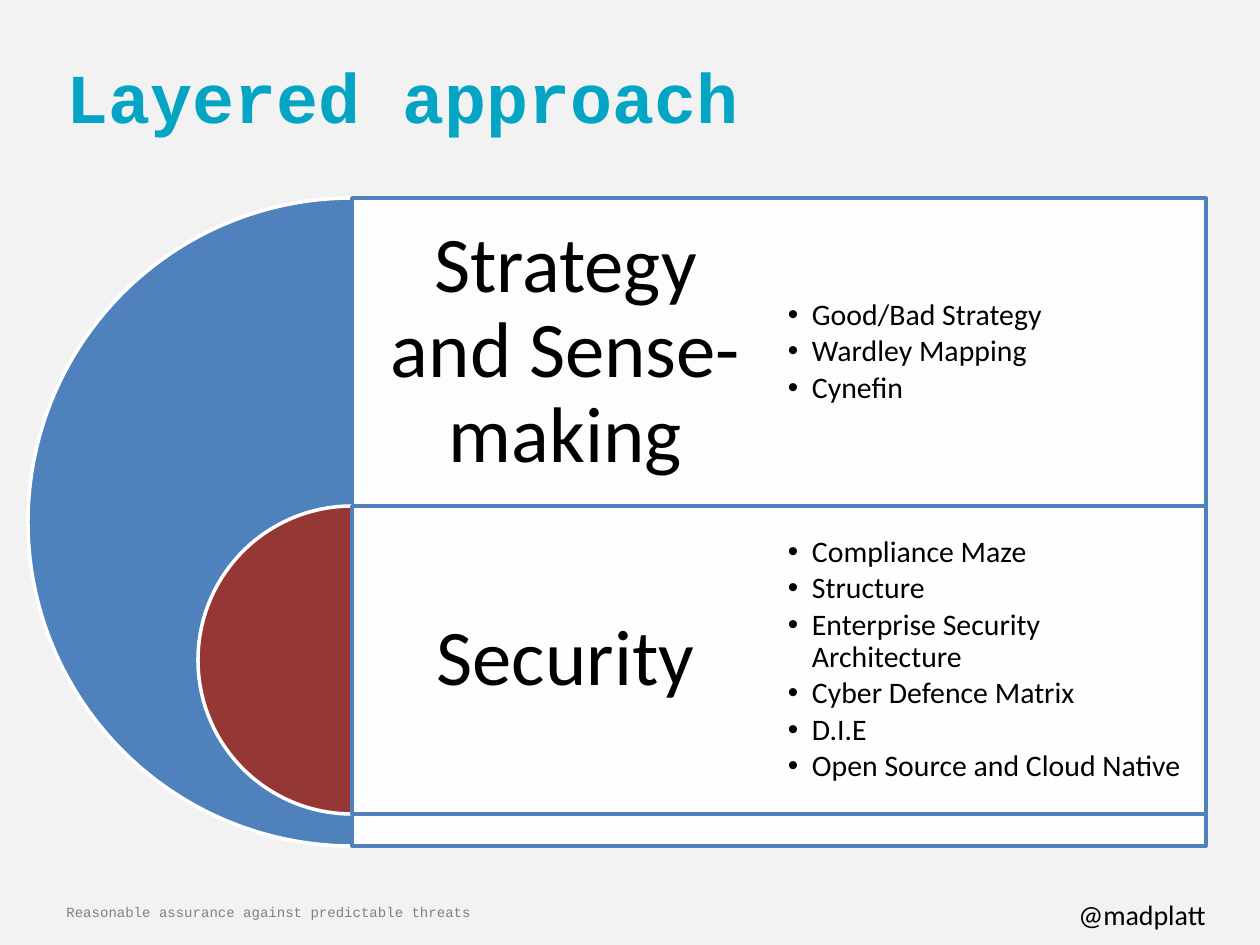
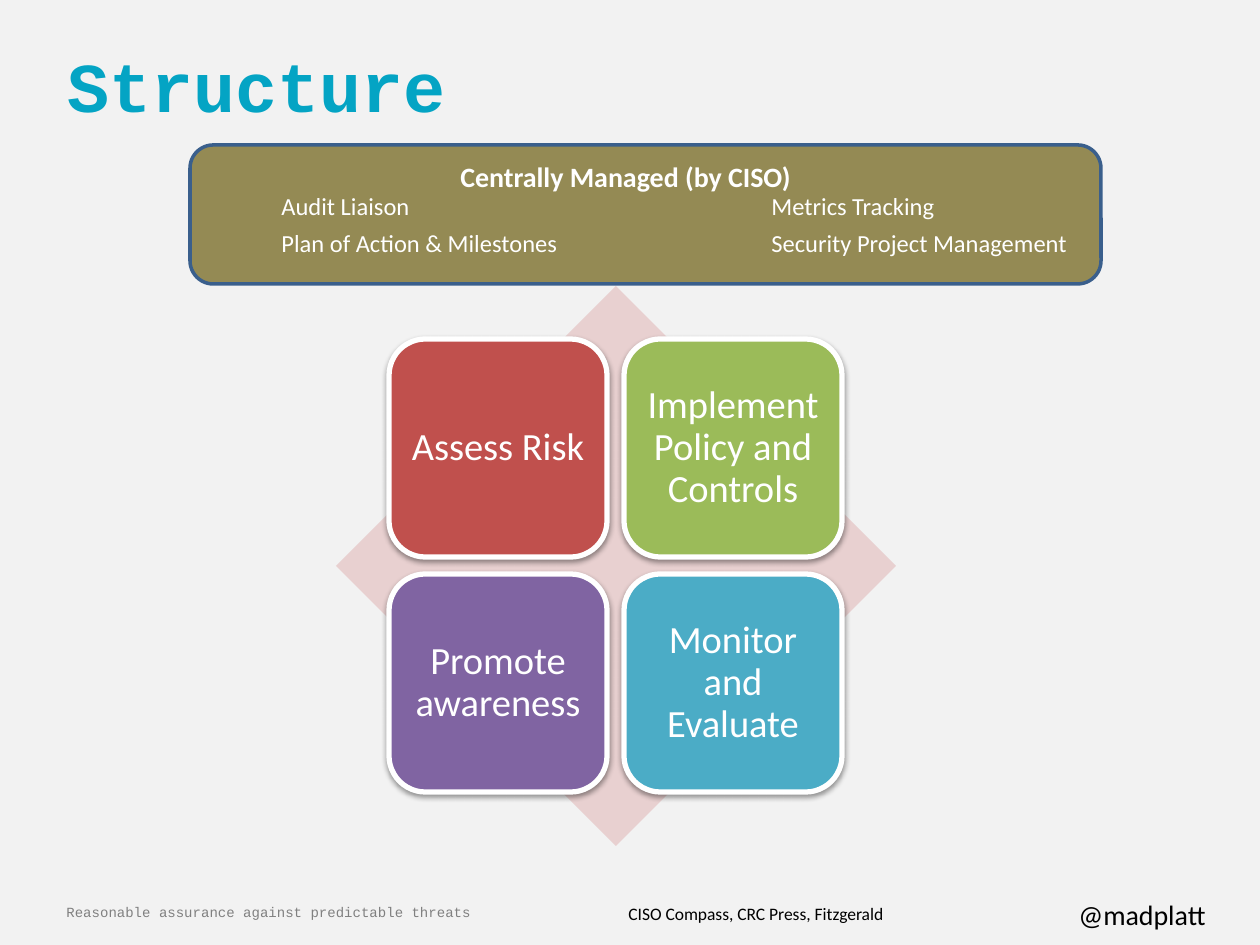
from lxml import etree
from pptx import Presentation
from pptx.dml.color import RGBColor
from pptx.enum.shapes import MSO_SHAPE
from pptx.enum.text import MSO_ANCHOR, MSO_AUTO_SIZE, PP_ALIGN
from pptx.oxml.ns import qn
from pptx.util import Emu, Pt

PIE, RECT = MSO_SHAPE.PIE, MSO_SHAPE.RECTANGLE
DIAMOND, ROUNDED = MSO_SHAPE.DIAMOND, MSO_SHAPE.ROUNDED_RECTANGLE
LEFT, CENTER = PP_ALIGN.LEFT, PP_ALIGN.CENTER
TOP, MIDDLE = MSO_ANCHOR.TOP, MSO_ANCHOR.MIDDLE
NO_AUTOFIT = MSO_AUTO_SIZE.NONE

PX_PER_INCH = 126
SANS, MONO = "Calibri", "Courier New"

BACKGROUND = RGBColor(0xF2, 0xF2, 0xF2)
TITLE = RGBColor(0x04, 0xA4, 0xC4)
GREY = RGBColor(0x80, 0x80, 0x80)
BLACK = RGBColor(0x00, 0x00, 0x00)
WHITE = RGBColor(0xFF, 0xFF, 0xFF)
BLUE = RGBColor(0x4F, 0x81, 0xBD)
DARK_RED = RGBColor(0x95, 0x37, 0x35)
RED = RGBColor(0xC0, 0x50, 0x4D)
GREEN = RGBColor(0x9B, 0xBB, 0x59)
PURPLE = RGBColor(0x80, 0x64, 0xA2)
AQUA = RGBColor(0x4B, 0xAC, 0xC6)
PINK = RGBColor(0xE8, 0xD0, 0xD0)
OLIVE = RGBColor(0x94, 0x8A, 0x54)
NAVY = RGBColor(0x3A, 0x5F, 0x8C)

LAYERS = [
    ("Strategy and Sense-making", BLUE, 648,
     ["Good/Bad Strategy", "Wardley Mapping", "Cynefin"]),
    ("Security", DARK_RED, 308,
     ["Compliance Maze", "Structure", "Enterprise Security Architecture",
      "Cyber Defence Matrix", "D.I.E", "Open Source and Cloud Native"]),
]
ACTIVITIES = [
    ("Assess Risk", RED), ("Implement Policy and Controls", GREEN),
    ("Promote awareness", PURPLE), ("Monitor and Evaluate", AQUA),
]
CENTRAL_TASKS = [
    ["Audit Liaison", "Plan of Action & Milestones"],
    ["Metrics Tracking", "Security Project Management"],
]


def px(length):
    return Emu(round(length * 914400 / PX_PER_INCH))


def add_bullet(paragraph, indent):
    properties = paragraph._p.get_or_add_pPr()
    properties.set("marL", str(px(indent)))
    properties.set("indent", str(-px(indent)))
    etree.SubElement(properties, qn("a:buFont")).set("typeface", "Arial")
    etree.SubElement(properties, qn("a:buChar")).set("char", "•")


def write(frame, *lines, size, color=BLACK, font=SANS, bold=False, align=LEFT,
          anchor=TOP, inset=None, leading=None, after=0, bullet_indent=0):
    frame.word_wrap = True
    frame.auto_size = NO_AUTOFIT
    frame.vertical_anchor = anchor
    if inset is not None:
        frame.margin_left = frame.margin_right = px(inset)
        frame.margin_top = frame.margin_bottom = px(inset)
    for index, line in enumerate(lines):
        paragraph = frame.add_paragraph() if index else frame.paragraphs[0]
        if bullet_indent:
            add_bullet(paragraph, bullet_indent)
        paragraph.alignment = align
        paragraph.space_after = Pt(after)
        if leading:
            paragraph.line_spacing = leading
        run = paragraph.add_run()
        run.text = line
        run.font.name, run.font.size, run.font.bold = font, Pt(size), bold
        run.font.color.rgb = color


def add_text(slide, box, *lines, **style):
    write(slide.shapes.add_textbox(*map(px, box)).text_frame, *lines, **style)


def add_figure(slide, kind, box, fill, line=None, width=2):
    figure = slide.shapes.add_shape(kind, *map(px, box))
    figure.shadow.inherit = False
    figure.fill.solid()
    figure.fill.fore_color.rgb = fill
    if line is None:
        figure.line.fill.background()
    else:
        figure.line.color.rgb = line
        figure.line.width = Pt(width)
    return figure


def set_alpha(color_element, percent):
    etree.SubElement(color_element, qn("a:alpha")).set("val", str(percent * 1000))


def cast_shadow(figure):
    effects = figure._element.spPr.find(qn("a:effectLst"))
    shadow = etree.SubElement(effects, qn("a:outerShdw"), blurRad="40000",
                              dist="20000", dir="5400000", rotWithShape="0")
    color = etree.SubElement(shadow, qn("a:srgbClr"), val=str(BLACK))
    set_alpha(color, 38)


def new_slide(prs, title, title_box):
    """Add a slide with its title, footer line and author handle."""
    slide = prs.slides.add_slide(prs.slide_layouts[0])
    subtitle = slide.placeholders[1]._element
    subtitle.getparent().remove(subtitle)
    heading = slide.shapes.title
    heading.left, heading.top, heading.width, heading.height = map(px, title_box)
    write(heading.text_frame, title, size=40, color=TITLE, font=MONO,
          bold=True, anchor=MIDDLE)
    add_text(slide, (54, 879, 446, 66),
             "Reasonable assurance against predictable threats",
             size=8, color=GREY, font=MONO, anchor=MIDDLE)
    add_text(slide, (1066, 881, 174, 66), "@madplatt", size=16, anchor=MIDDLE)
    return slide


def add_layers(slide, box):
    """Stack half discs, each with a panel holding a label and a list."""
    left, top, width, height = box
    row_height = LAYERS[-1][2]
    axis = left + height // 2
    column = (left + width - axis) // 2
    for row, (label, color, diameter, topics) in enumerate(LAYERS):
        row_top = top + row * row_height
        disc = add_figure(slide, PIE, (axis - diameter // 2, row_top, diameter, diameter),
                          color, WHITE)
        disc.adjustments[0], disc.adjustments[1] = 54, 162
        panel = add_figure(slide, RECT, (axis, row_top, 2 * column, diameter), WHITE, BLUE)
        set_alpha(panel._element.spPr.find(qn("a:solidFill"))[0], 90)
        add_text(slide, (axis, row_top, column, row_height), label, size=45,
                 align=CENTER, anchor=MIDDLE, inset=24, leading=0.9)
        add_text(slide, (axis + column, row_top, column, row_height), *topics,
                 size=17, anchor=MIDDLE, inset=9, leading=0.9, after=2.5,
                 bullet_indent=24)


def add_activity_matrix(slide, box):
    """Lay four rounded tiles over a diamond."""
    left, top, side, _ = box
    tile, gap = 218, 17
    margin = (side - 2 * tile - gap) // 2
    add_figure(slide, DIAMOND, box, PINK)
    for index, (activity, color) in enumerate(ACTIVITIES):
        row, column = divmod(index, 2)
        tile_box = (left + margin + column * (tile + gap),
                    top + margin + row * (tile + gap), tile, tile)
        figure = add_figure(slide, ROUNDED, tile_box, color, WHITE, 3)
        cast_shadow(figure)
        write(figure.text_frame, activity, size=22, color=WHITE, align=CENTER,
              anchor=MIDDLE, inset=11, leading=0.9)


def add_central_band(slide, box):
    left, top, _, _ = box
    add_figure(slide, ROUNDED, box, OLIVE, NAVY)
    add_text(slide, (left + 258, top + 8, 470, 46), "Centrally Managed (by CISO)",
             size=16, color=WHITE, bold=True)
    for column, tasks in enumerate(CENTRAL_TASKS):
        for row, task in enumerate(tasks):
            add_text(slide, (left + 79 + column * 490, top + 40 + row * 37, 341, 43),
                     task, size=14, color=WHITE)


def main():
    prs = Presentation()
    prs.slide_width, prs.slide_height = px(1260), px(945)
    background = prs.slide_master.background.fill
    background.solid()
    background.fore_color.rgb = BACKGROUND

    layered = new_slide(prs, "Layered approach", (54, 26, 1071, 139))
    add_layers(layered, (28, 198, 1178, 648))

    structure = new_slide(prs, "Structure", (55, 15, 1171, 139))
    add_text(structure, (616, 897, 300, 34), "CISO Compass, CRC Press, Fitzgerald", size=10)
    add_activity_matrix(structure, (336, 286, 560, 560))
    add_central_band(structure, (190, 145, 911, 139))

    prs.save("out.pptx")


if __name__ == "__main__":
    main()
